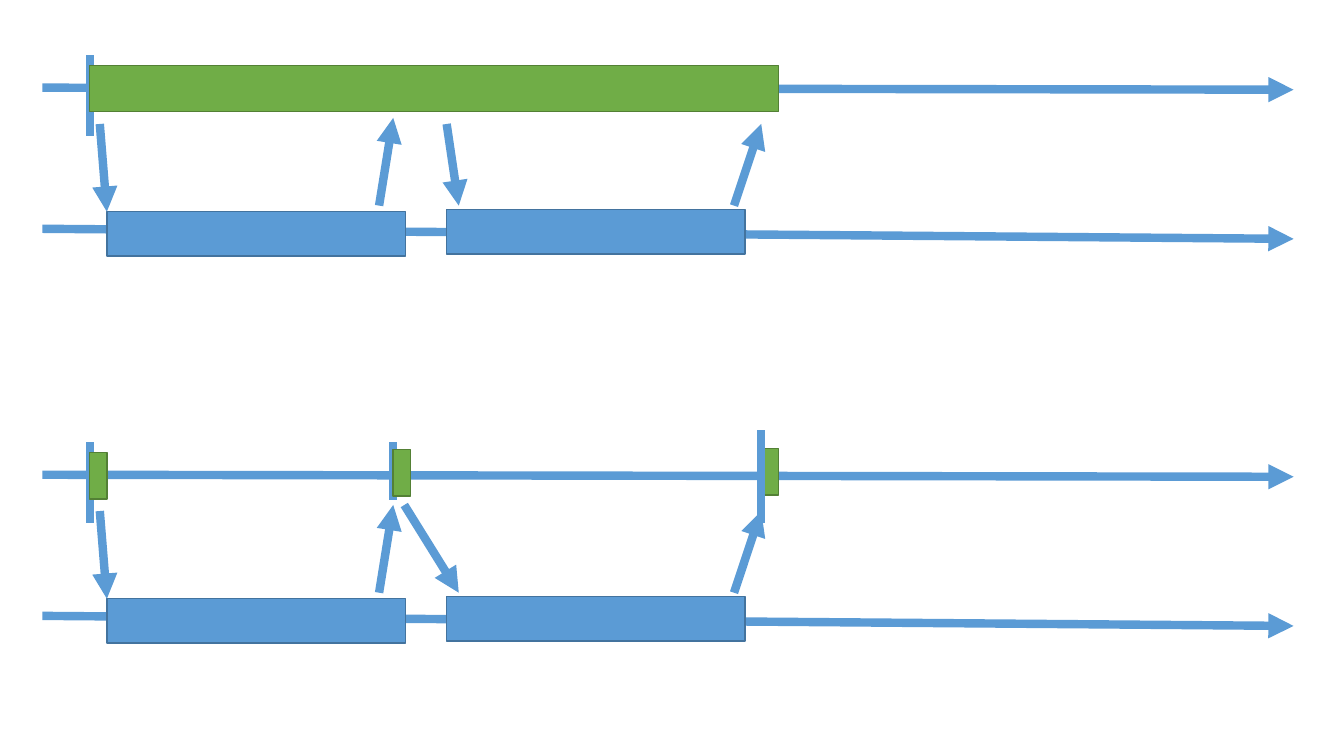
from lxml.etree import SubElement
from pptx import Presentation
from pptx.dml.color import RGBColor
from pptx.enum.shapes import MSO_CONNECTOR, MSO_SHAPE
from pptx.oxml.ns import qn
from pptx.util import Inches, Pt

BLUE = RGBColor(0x5B, 0x9B, 0xD5)
BLUE_EDGE = RGBColor(0x43, 0x73, 0x9E)
GREEN = RGBColor(0x70, 0xAD, 0x47)
GREEN_EDGE = RGBColor(0x53, 0x80, 0x35)

# Content in inches: lines are (x1, y1, x2, y2), boxes are (left, top)
DIAGRAM_STEP = 3.84
TASK_SIZE = (2.96, 0.44)
CALLER_HEIGHT = 0.46
SHORT_CALL = 0.17

# Parts that both diagrams share, placed for the upper one
TIMELINES = [(0.42, 0.87, 12.83, 0.89), (0.42, 2.27, 12.83, 2.37)]
START_TICK = (0.89, 0.55, 0.89, 1.35)
CALL_ARROWS = [
    (0.99, 1.23, 1.06, 2.1),
    (3.76, 2.04, 3.9, 1.17),
    (7.28, 2.04, 7.55, 1.23),
]
TASKS = [(1.06, 2.1), (4.43, 2.08)]

# Parts of one diagram only
BLOCKING = {
    "second_call": (4.43, 1.23, 4.55, 2.04),
    "caller_boxes": [(0.89, 0.65, 6.83)],
    "ticks_behind": [],
    "ticks_in_front": [],
}
NON_BLOCKING = {
    "second_call": (4.01, 1.17, 4.55, 2.04),
    "caller_boxes": [(0.89, 0.65, SHORT_CALL), (3.9, 0.62, SHORT_CALL),
                     (7.55, 0.61, SHORT_CALL)],
    "ticks_behind": [(3.9, 0.55, 3.9, 1.12)],
    "ticks_in_front": [(7.55, 0.43, 7.55, 1.35)],
}

presentation = Presentation()
presentation.slide_width = Inches(13.33)
presentation.slide_height = Inches(7.5)
slide = presentation.slides.add_slide(presentation.slide_layouts[6])


def add_line(points, offset, arrow=False):
    x1, y1, x2, y2 = points
    connector = slide.shapes.add_connector(
        MSO_CONNECTOR.STRAIGHT, Inches(x1), Inches(y1 + offset),
        Inches(x2), Inches(y2 + offset))
    connector.line.color.rgb = BLUE
    connector.line.width = Pt(6)
    if arrow:
        SubElement(connector.line._get_or_add_ln(), qn("a:tailEnd"), type="triangle")
    SubElement(connector._element.spPr, qn("a:effectLst"))


def add_box(left, top, width, height, fill, edge):
    shape = slide.shapes.add_shape(
        MSO_SHAPE.RECTANGLE, Inches(left), Inches(top), Inches(width), Inches(height))
    shape.shadow.inherit = False
    shape.fill.solid()
    shape.fill.fore_color.rgb = fill
    shape.line.color.rgb = edge
    shape.line.width = Pt(1)


# Draw each diagram from back to front
for index, diagram in enumerate([BLOCKING, NON_BLOCKING]):
    offset = index * DIAGRAM_STEP
    for timeline in TIMELINES:
        add_line(timeline, offset, arrow=True)
    for tick in [START_TICK] + diagram["ticks_behind"]:
        add_line(tick, offset)
    for call in CALL_ARROWS + [diagram["second_call"]]:
        add_line(call, offset, arrow=True)
    for left, top in TASKS:
        add_box(left, top + offset, *TASK_SIZE, BLUE, BLUE_EDGE)
    for left, top, width in diagram["caller_boxes"]:
        add_box(left, top + offset, width, CALLER_HEIGHT, GREEN, GREEN_EDGE)
    for tick in diagram["ticks_in_front"]:
        add_line(tick, offset)

presentation.save("out.pptx")
